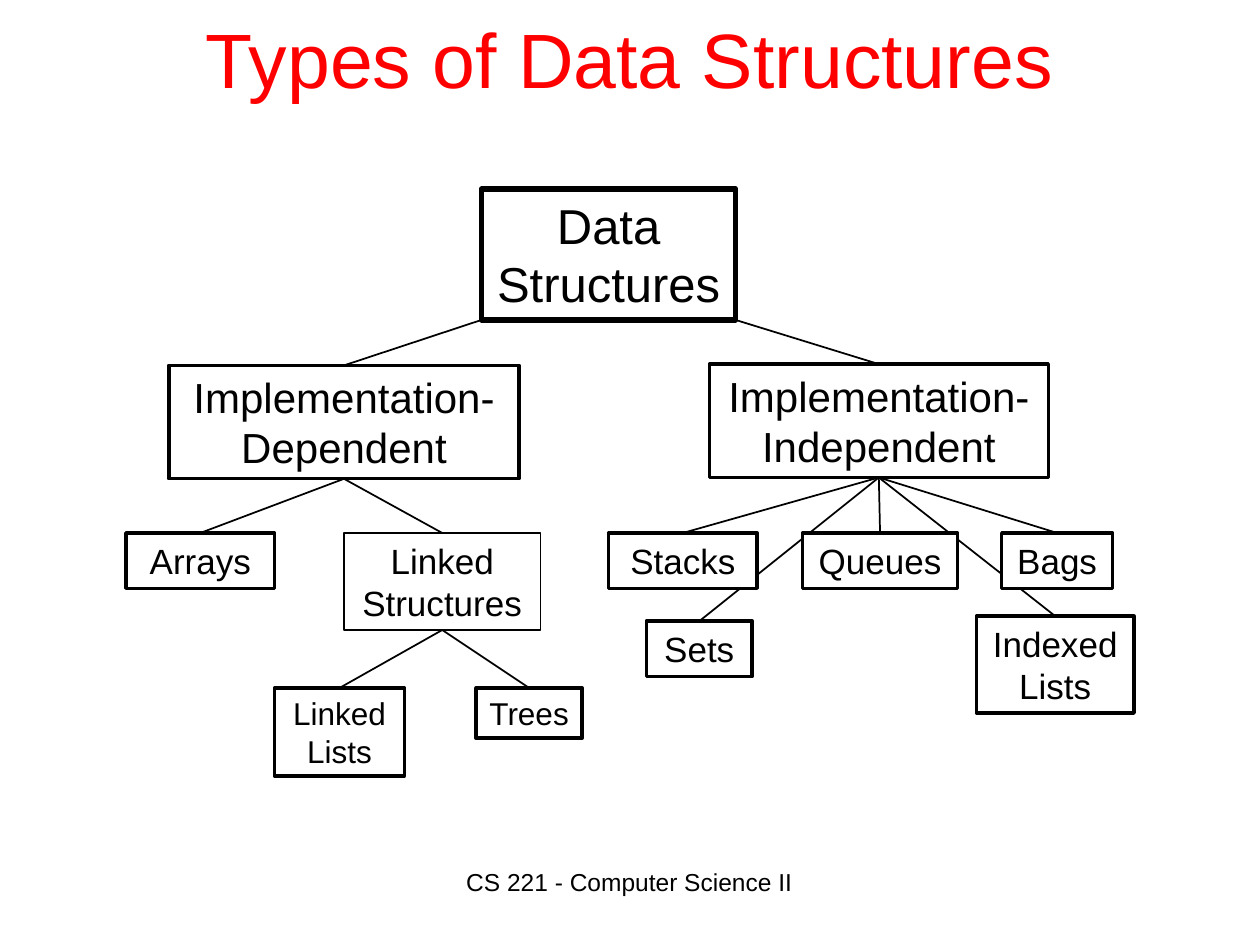
from dataclasses import dataclass

from lxml.etree import SubElement
from pptx import Presentation
from pptx.dml.color import RGBColor
from pptx.enum.shapes import MSO_CONNECTOR, MSO_SHAPE
from pptx.enum.text import MSO_ANCHOR, MSO_AUTO_SIZE, PP_ALIGN
from pptx.oxml.ns import qn
from pptx.util import Inches, Pt


@dataclass(frozen=True)
class Theme:
    """Hold the font, colours, type sizes and line widths."""
    font: str = "Arial"
    title: RGBColor = RGBColor(0xFF, 0x00, 0x00)
    ink: RGBColor = RGBColor(0x00, 0x00, 0x00)
    paper: RGBColor = RGBColor(0xFF, 0xFF, 0xFF)
    title_size: int = 44
    root_size: int = 28
    branch_size: int = 24
    leaf_size: int = 20
    small_size: int = 18
    footer_size: int = 14
    root_line: int = 3
    box_line: int = 2
    thin_line: int = 1


@dataclass(frozen=True)
class Node:
    """Describe one box of the tree, placed in inches from the tree's corner."""
    text: str
    parent: str
    x: float
    y: float
    w: float
    h: float
    size: int
    line: int = Theme.box_line
    filled: bool = False


T = Theme()
ROOT = "Data Structures"
DEPENDENT = "Implementation-Dependent"
INDEPENDENT = "Implementation-Independent"
LINKED = "Linked Structures"
NODES = [
    Node(ROOT, "", 2.82, 0, 2.02, 1.04, T.root_size, T.root_line),
    Node(DEPENDENT, ROOT, 0.34, 1.4, 2.78, 0.9, T.branch_size),
    Node(INDEPENDENT, ROOT, 4.63, 1.39, 2.69, 0.9, T.branch_size),
    Node("Arrays", DEPENDENT, 0, 2.73, 1.18, 0.44, T.leaf_size),
    Node(LINKED, DEPENDENT, 1.73, 2.73, 1.56, 0.77, T.leaf_size, T.thin_line),
    Node("Linked Lists", LINKED, 1.18, 3.96, 1.03, 0.7, T.small_size),
    Node("Trees", LINKED, 2.78, 3.96, 0.84, 0.4, T.small_size),
    Node("Indexed Lists", INDEPENDENT, 6.75, 3.39, 1.25, 0.77, T.leaf_size),
    Node("Sets", INDEPENDENT, 4.13, 3.43, 0.84, 0.44, T.leaf_size),
    Node("Queues", INDEPENDENT, 5.37, 2.73, 1.23, 0.44, T.leaf_size, filled=True),
    Node("Bags", INDEPENDENT, 6.95, 2.73, 0.88, 0.44, T.leaf_size, filled=True),
    Node("Stacks", INDEPENDENT, 3.83, 2.73, 1.18, 0.44, T.leaf_size, filled=True),
]


def write(sp, text, size, color, anchor=MSO_ANCHOR.TOP):
    """Put centred, wrapped text into a shape."""
    tf = sp.text_frame
    tf.text = text
    tf.word_wrap = True
    tf.vertical_anchor = anchor
    p = tf.paragraphs[0]
    p.alignment = PP_ALIGN.CENTER
    for r in p.runs:
        r.font.name = T.font
        r.font.size = Pt(size)
        r.font.color.rgb = color


def add_title(s, text, left, top, width, height):
    """Move and format the title placeholder."""
    sp = s.shapes.title
    sp.left, sp.top, sp.width, sp.height = left, top, width, height
    write(sp, text, T.title_size, T.title, MSO_ANCHOR.MIDDLE)


def add_footer(s, text, left, top, width, height):
    """Add the course name at the foot of the slide."""
    write(s.shapes.add_textbox(left, top, width, height), text, T.footer_size, T.ink)


def add_branch(s, parent, child, left, top):
    """Join the top of a child to the foot of its parent."""
    child_x = child.x + child.w / 2
    parent_x = parent.x + parent.w / 2
    if parent.text == ROOT:
        parent_x = parent.x if child_x < parent_x else parent.x + parent.w
    line = s.shapes.add_connector(
        MSO_CONNECTOR.STRAIGHT,
        left + Inches(child_x), top + Inches(child.y),
        left + Inches(parent_x), top + Inches(parent.y + parent.h))
    line.line.color.rgb = T.ink
    line.line.width = Pt(T.thin_line)
    SubElement(line._element.spPr, qn("a:effectLst"))


def add_node(s, node, left, top):
    """Draw one labelled box of the tree."""
    sp = s.shapes.add_shape(
        MSO_SHAPE.RECTANGLE, left + Inches(node.x), top + Inches(node.y),
        Inches(node.w), Inches(node.h))
    sp.shadow.inherit = False
    if node.filled:
        sp.fill.solid()
        sp.fill.fore_color.rgb = T.paper
    else:
        sp.fill.background()
    sp.line.color.rgb = T.ink
    sp.line.width = Pt(node.line)
    write(sp, node.text, node.size, T.ink)
    sp.text_frame.auto_size = MSO_AUTO_SIZE.SHAPE_TO_FIT_TEXT


def add_tree(s, nodes, left, top):
    """Draw the branches, then the boxes over them."""
    by_text = {node.text: node for node in nodes}
    for node in nodes:
        if node.parent:
            add_branch(s, by_text[node.parent], node, left, top)
    for node in nodes:
        add_node(s, node, left, top)


def main():
    """Build and save the slide."""
    prs = Presentation()
    prs.slide_width, prs.slide_height = Inches(10), Inches(7.5)
    s = prs.slides.add_slide(prs.slide_layouts[5])
    add_title(s, "Types of Data Structures",
              Inches(0.75), Inches(-0.17), Inches(8.5), Inches(1.25))
    add_footer(s, "CS 221 - Computer Science II",
               Inches(3.08), Inches(6.83), Inches(3.83), Inches(0.5))
    add_tree(s, NODES, Inches(1), Inches(1.5))
    prs.save("out.pptx")


if __name__ == "__main__":
    main()
